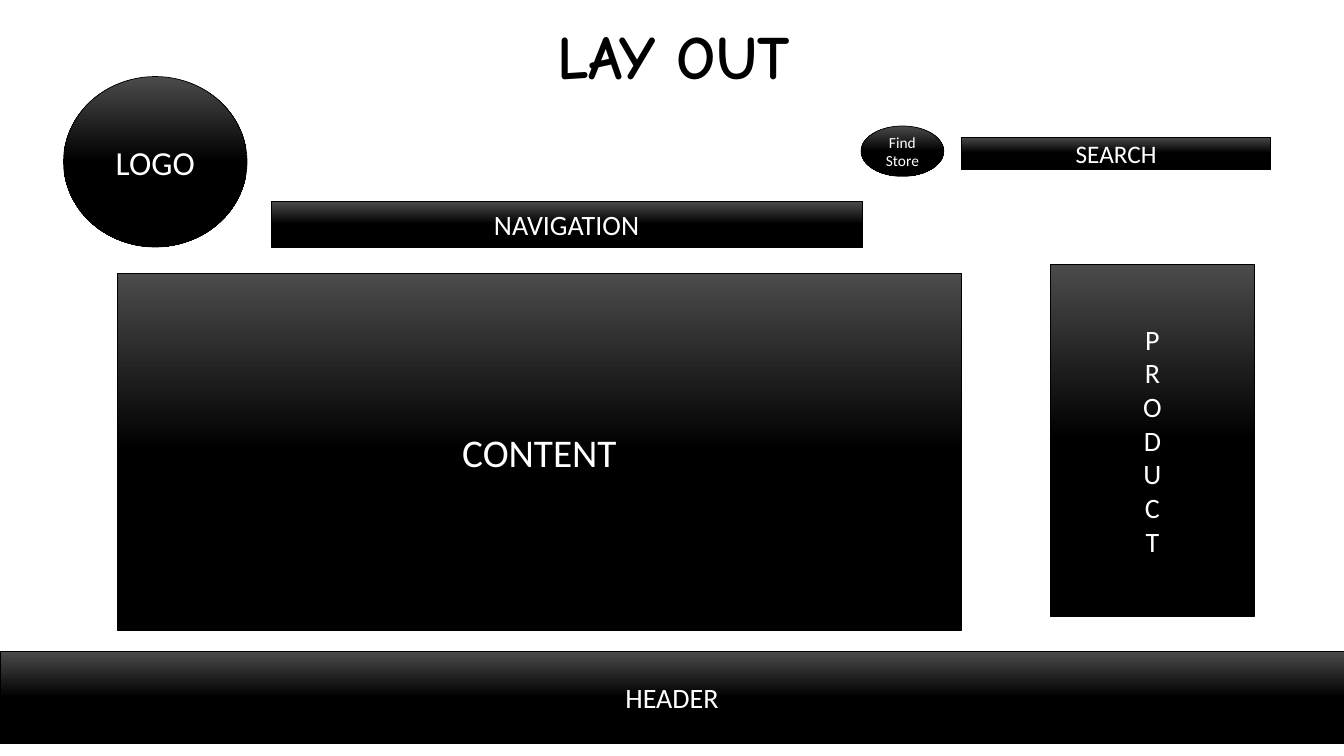
"""Build a slide that maps the blocks of a shop web page."""
from copy import deepcopy
from dataclasses import dataclass

from pptx import Presentation
from pptx import util as u
from pptx.dml.color import RGBColor
from pptx.enum import shapes, text

SCALE = 9144
HUES = {"top": "4B4B4B", "base": "000000", "label": "FFFFFF"}
STOPS = [(0, "top"), (0.5, "base"), (1, "base")]
RECT = shapes.MSO_SHAPE.RECTANGLE
OVAL = shapes.MSO_SHAPE.OVAL


@dataclass
class Block:
    """A labelled part of the page, measured in px."""
    label: str
    left: int
    top: int
    width: int
    height: int
    size: int
    kind: shapes.MSO_SHAPE = RECT


TITLE = Block("LAY OUT", 93, 15, 1150, 89, 44)
BLOCKS = [
    Block("NAVIGATION", 269, 200, 586, 45, 20),
    Block("SEARCH", 954, 136, 306, 32, 18),
    Block("Find Store", 854, 125, 82, 50, 11, OVAL),
    Block("LOGO", 63, 76, 182, 169, 24, OVAL),
    Block("CONTENT", 116, 271, 838, 354, 28),
    Block("\n".join("PRODUCT"), 1042, 262, 202, 349, 20),
    Block("HEADER", 0, 646, 1333, 92, 20),
]


def px(count: int) -> u.Emu:
    """Turn px into EMU."""
    return u.Emu(count * SCALE)


def hue(name: str) -> RGBColor:
    """Look up a named colour."""
    return RGBColor.from_string(HUES[name])


def write(shape, block: Block, face: str, tint: str, bold: bool = False) -> None:
    """Set and format the centred label of a shape."""
    frame = shape.text_frame
    frame.text = block.label
    frame.word_wrap = True
    frame.auto_size = text.MSO_AUTO_SIZE.NONE
    frame.vertical_anchor = text.MSO_ANCHOR.MIDDLE
    for para in frame.paragraphs:
        para.alignment = text.PP_ALIGN.CENTER
        for run in para.runs:
            run.font.name = face
            run.font.size = u.Pt(block.size)
            run.font.bold = bold
            run.font.color.rgb = hue(tint)


def shade(shape) -> None:
    """Fill a shape with the gradient that runs from top to bottom."""
    shape.fill.gradient()
    shape.fill.gradient_angle = 270
    last = shape._element.xpath(".//a:gs")[-1]
    last.addnext(deepcopy(last))
    for stop, (place, name) in zip(shape.fill.gradient_stops, STOPS):
        stop.position = place
        stop.color.rgb = hue(name)


def draw(slide, block: Block) -> None:
    """Draw one block of the page."""
    shape = slide.shapes.add_shape(
        block.kind, px(block.left), px(block.top), px(block.width), px(block.height))
    shape.shadow.inherit = False
    shade(shape)
    shape.line.color.rgb = hue("base")
    shape.line.width = u.Pt(0.5)
    write(shape, block, "Calibri", "label")


def head(slide) -> None:
    """Place and format the title."""
    title = slide.shapes.title
    title.left, title.top = px(TITLE.left), px(TITLE.top)
    title.width, title.height = px(TITLE.width), px(TITLE.height)
    write(title, TITLE, "Comic Neue", "base", True)
    title.text_frame.paragraphs[0].line_spacing = 0.9


def main() -> None:
    """Build and save the slide."""
    deck = Presentation()
    deck.slide_width, deck.slide_height = px(1333), px(750)
    slide = deck.slides.add_slide(deck.slide_layouts[5])
    head(slide)
    for block in BLOCKS:
        draw(slide, block)
    deck.save("out.pptx")


if __name__ == "__main__":
    main()
